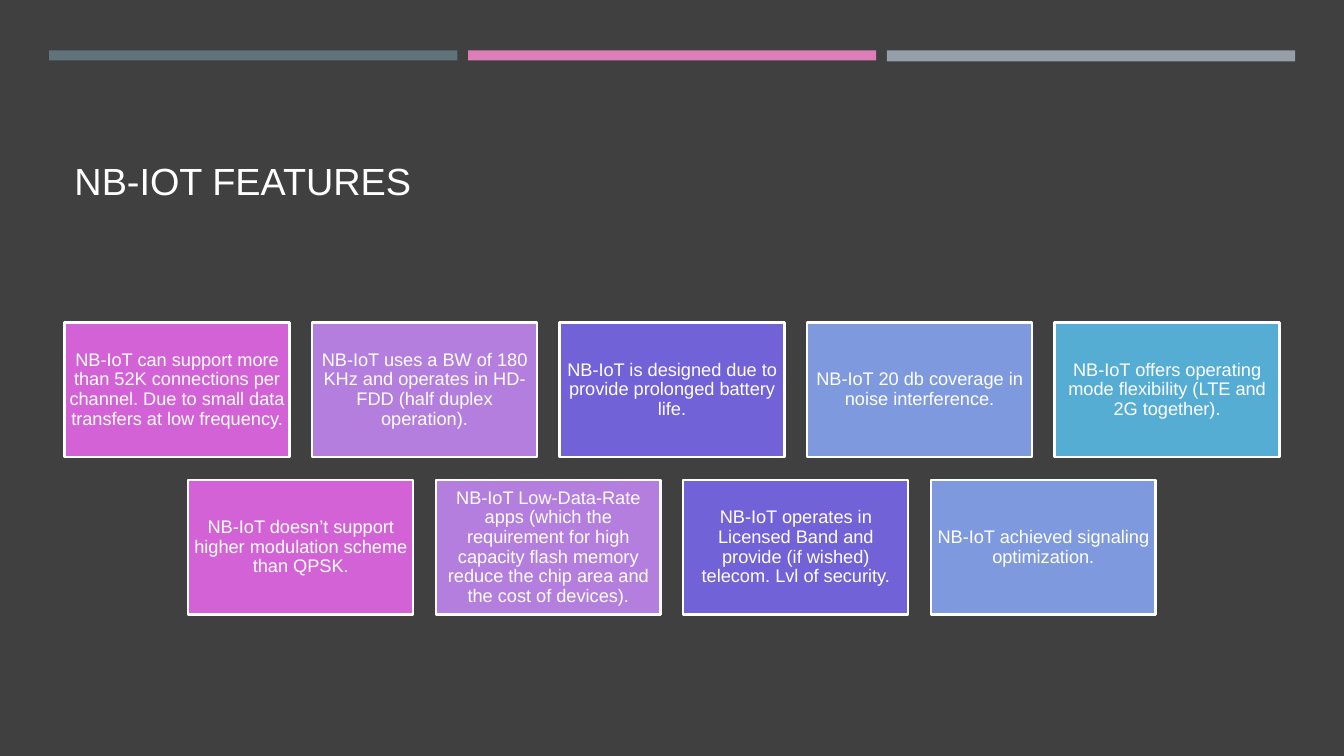
"""Build the NB-IoT features slide: three accent bars, a title and two centred rows of cards."""
from pptx import Presentation
from pptx.dml.color import RGBColor
from pptx.enum.shapes import MSO_SHAPE as Shape
from pptx.enum.text import MSO_ANCHOR as Anchor, PP_ALIGN as Align
from pptx.util import Pt

TITLE = "NB-IOT FEATURES"
ROWS = [
    [
        "NB-IoT can support more than 52K connections per channel. "
        "Due to small data transfers at low frequency.",
        "NB-IoT uses a BW of 180 KHz and operates in HD-FDD (half duplex operation).",
        "NB-IoT is designed due to provide prolonged battery life.",
        "NB-IoT 20 db coverage in noise interference.",
        "NB-IoT offers operating mode flexibility (LTE and 2G together).",
    ],
    [
        "NB-IoT doesn’t support higher modulation scheme than QPSK.",
        "NB-IoT Low-Data-Rate apps (which the requirement for high capacity "
        "flash memory reduce the chip area and the cost of devices).",
        "NB-IoT operates in Licensed Band and provide (if wished) telecom. "
        "Lvl of security.",
        "NB-IoT achieved signaling optimization.",
    ],
]
COLORS = {
    "background": "404040", "white": "FFFFFF",
    "slate": "60727A", "pink": "DE7EB9", "grey": "969FA7",
    "magenta": "D462D7", "purple": "B47EDE", "violet": "7262D7",
    "blue": "7E99DE", "cyan": "56ADD4",
}
BARS = [("slate", 7.2), ("pink", 7.2), ("grey", 7.9)]
CARD_COLORS = ["magenta", "purple", "violet", "blue", "cyan"]
FONT = "Arial"
SLIDE_WIDTH, SLIDE_HEIGHT = 960, 540
BAR_LEFT, BAR_TOP, BAR_WIDTH, BAR_PITCH = 35.1, 36, 291.6, 299.2
CARD_WIDTH, CARD_HEIGHT, CARD_GAP, CARDS_TOP = 160.7, 96.4, 16.1, 230.2


def color(name):
    return RGBColor.from_string(COLORS[name])


def add_block(page, left, top, width, height, fill):
    block = page.shapes.add_shape(
        Shape.RECTANGLE, Pt(left), Pt(top), Pt(width), Pt(height))
    block.shadow.inherit = False
    block.fill.solid()
    block.fill.fore_color.rgb = color(fill)
    block.line.fill.background()
    return block


def write(box, text, size, align, anchor):
    frame = box.text_frame
    frame.text = text
    frame.word_wrap = True
    frame.vertical_anchor = anchor
    para = frame.paragraphs[0]
    para.alignment = align
    para.line_spacing = 0.9
    font = para.runs[0].font
    font.name, font.size, font.bold = FONT, Pt(size), False
    font.color.rgb = color("white")


def add_card(page, left, top, fill, text):
    card = add_block(page, left, top, CARD_WIDTH, CARD_HEIGHT, fill)
    card.line.color.rgb = color("white")
    card.line.width = Pt(1.75)
    write(card, text, 13, Align.CENTER, Anchor.MIDDLE)
    frame = card.text_frame
    frame.margin_left = frame.margin_right = Pt(3.6)
    frame.margin_top = frame.margin_bottom = Pt(3.6)


deck = Presentation()
deck.slide_width, deck.slide_height = Pt(SLIDE_WIDTH), Pt(SLIDE_HEIGHT)
page = deck.slides.add_slide(deck.slide_layouts[5])
page.background.fill.solid()
page.background.fill.fore_color.rgb = color("background")

title = page.shapes.title
title.left, title.top, title.width, title.height = Pt(46), Pt(55.4), Pt(868), Pt(93.6)
write(title, TITLE, 27, Align.LEFT, Anchor.BOTTOM)

for index, (fill, height) in enumerate(BARS):
    add_block(page, BAR_LEFT + index * BAR_PITCH, BAR_TOP, BAR_WIDTH, height, fill)

for row, texts in enumerate(ROWS):
    row_width = len(texts) * (CARD_WIDTH + CARD_GAP) - CARD_GAP
    row_left = (SLIDE_WIDTH - row_width) / 2
    top = CARDS_TOP + row * (CARD_HEIGHT + CARD_GAP)
    for column, (text, fill) in enumerate(zip(texts, CARD_COLORS)):
        left = row_left + column * (CARD_WIDTH + CARD_GAP)
        add_card(page, left, top, fill, text)

deck.save("out.pptx")
